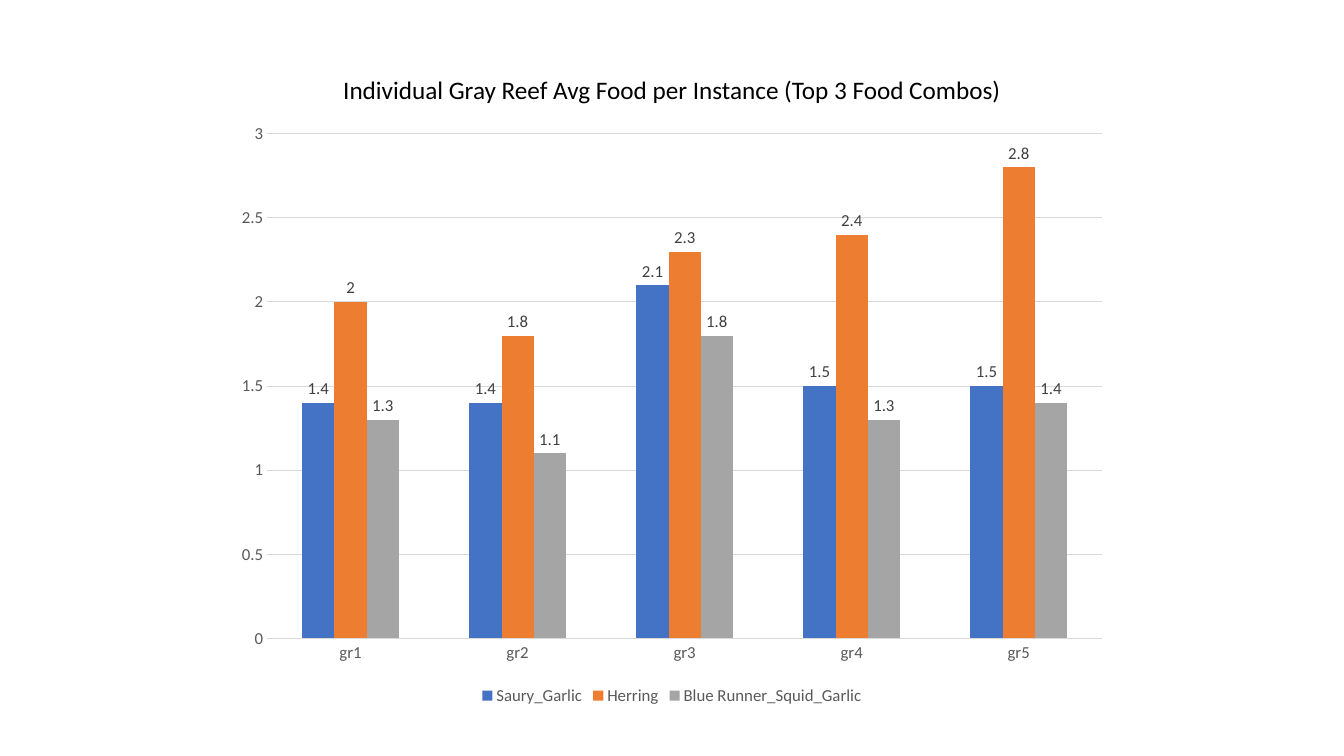
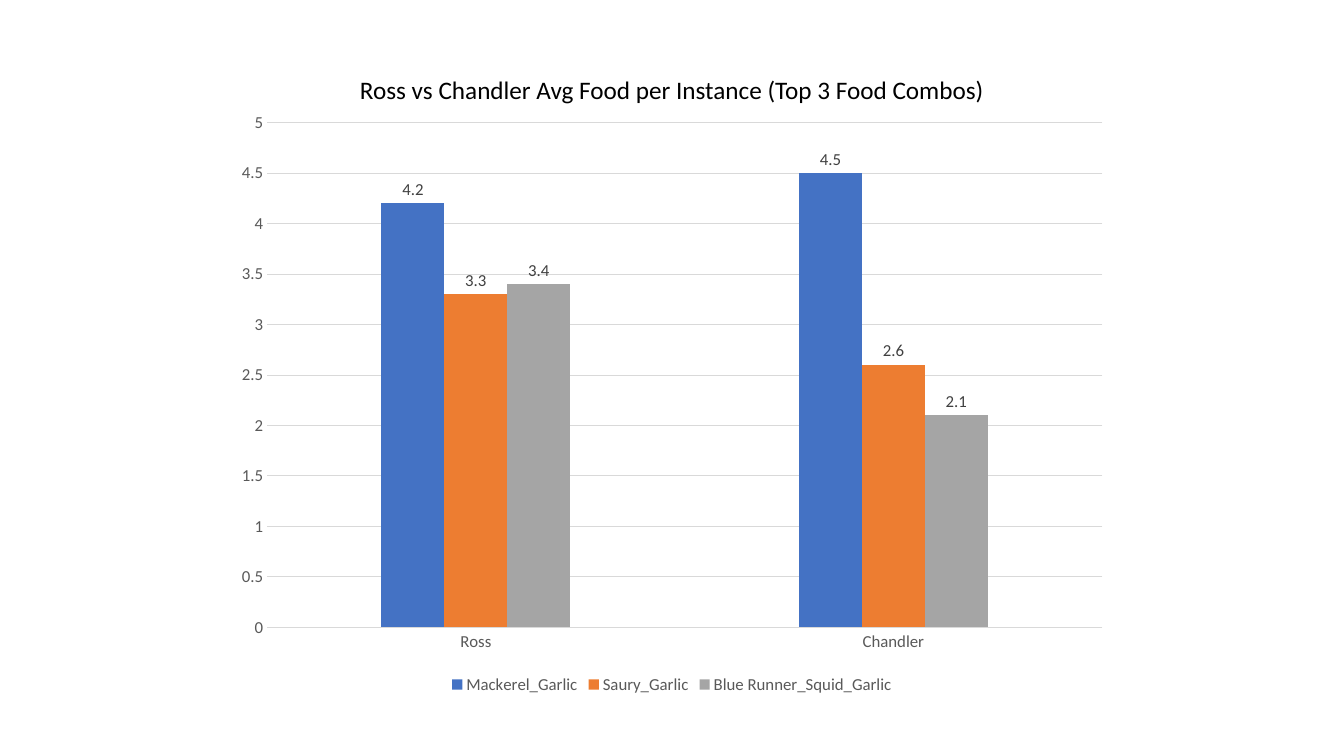
from dataclasses import dataclass

from pptx import Presentation
from pptx.chart.data import CategoryChartData
from pptx.dml.color import RGBColor
from pptx.enum.chart import XL_CHART_TYPE, XL_LABEL_POSITION, XL_LEGEND_POSITION, XL_TICK_MARK
from pptx.enum.text import MSO_ANCHOR, MSO_AUTO_SIZE, PP_ALIGN
from pptx.util import Inches, Pt


@dataclass(frozen=True)
class Theme:
    """Colours, font and type sizes of the deck."""
    font: str = "Calibri"
    ink: str = "000000"
    axis: str = "595959"
    label: str = "404040"
    rule: str = "D9D9D9"
    bars: tuple = ("4472C4", "ED7D31", "A5A5A5")
    title: int = 18
    small: int = 12
    base: int = 10
    thin: float = 0.75


THEME = Theme()
TITLE_BOX = (3.18, 0.69, 6.97, 0.4)

PAGES = [
    {
        "title": "Individual Gray Reef Avg Food per Instance (Top 3 Food Combos)",
        "box": (2.22, 1.11, 8.89, 5.93),
        "cats": ("gr1", "gr2", "gr3", "gr4", "gr5"),
        "rows": {
            "Saury_Garlic": (1.4, 1.4, 2.1, 1.5, 1.5),
            "Herring": (2, 1.8, 2.3, 2.4, 2.8),
            "Blue Runner_Squid_Garlic": (1.3, 1.1, 1.8, 1.3, 1.4),
        },
        "gap": 219,
        "top": 3,
    },
    {
        "title": "Ross vs Chandler Avg Food per Instance (Top 3 Food Combos)",
        "box": (2.22, 1, 8.89, 5.93),
        "cats": ("Ross", "Chandler"),
        "rows": {
            "Mackerel_Garlic": (4.2, 4.5),
            "Saury_Garlic": (3.3, 2.6),
            "Blue Runner_Squid_Garlic": (3.4, 2.1),
        },
        "gap": 364,
        "top": 5,
    },
]


def apply(target, **values):
    """Set each named format value on the target."""
    for name, value in values.items():
        setattr(target, name, value)


def style(font, size, color):
    """Give a font the theme face, a size and a colour."""
    apply(font, name=THEME.font, size=Pt(size), bold=False)
    font.color.rgb = RGBColor.from_string(color)


def stroke(line):
    """Draw a line as a thin pale rule."""
    line.width = Pt(THEME.thin)
    line.color.rgb = RGBColor.from_string(THEME.rule)


def add_title(slide, box, text):
    """Place a centred title in the box."""
    frame = slide.shapes.add_textbox(*map(Inches, box)).text_frame
    apply(frame, word_wrap=True, auto_size=MSO_AUTO_SIZE.SHAPE_TO_FIT_TEXT,
          vertical_anchor=MSO_ANCHOR.TOP)
    line = frame.paragraphs[0]
    line.alignment = PP_ALIGN.CENTER
    run = line.add_run()
    run.text = text
    style(run.font, THEME.title, THEME.ink)


def set_axes(chart, top):
    """Format both axes and the grid."""
    for axis in (chart.category_axis, chart.value_axis):
        apply(axis, major_tick_mark=XL_TICK_MARK.NONE, minor_tick_mark=XL_TICK_MARK.NONE)
        style(axis.tick_labels.font, THEME.small, THEME.axis)
    stroke(chart.category_axis.format.line)
    value = chart.value_axis
    apply(value, minimum_scale=0, maximum_scale=top, major_unit=0.5,
          has_major_gridlines=True)
    value.format.line.fill.background()
    stroke(value.major_gridlines.format.line)


def set_bars(plot, gap):
    """Colour the bars and label their values."""
    apply(plot, gap_width=gap, overlap=0, vary_by_categories=False)
    for series, color in zip(plot.series, THEME.bars):
        series.invert_if_negative = False
        series.format.fill.solid()
        series.format.fill.fore_color.rgb = RGBColor.from_string(color)
        labels = series.data_labels
        apply(labels, show_value=True, position=XL_LABEL_POSITION.OUTSIDE_END)
        style(labels.font, THEME.small, THEME.label)


def add_bars(slide, box, page):
    """Place a clustered column chart in the box."""
    data = CategoryChartData()
    data.categories = page["cats"]
    for name, values in page["rows"].items():
        data.add_series(name, values)
    chart = slide.shapes.add_chart(
        XL_CHART_TYPE.COLUMN_CLUSTERED, *map(Inches, box), data).chart
    apply(chart, has_title=False, has_legend=True)
    style(chart.font, THEME.base, THEME.ink)
    apply(chart.legend, position=XL_LEGEND_POSITION.BOTTOM, include_in_layout=False)
    style(chart.legend.font, THEME.small, THEME.axis)
    set_axes(chart, page["top"])
    set_bars(chart.plots[0], page["gap"])


def main():
    """Build and save the deck."""
    deck = Presentation()
    apply(deck, slide_width=Inches(13.33), slide_height=Inches(7.5))
    for page in PAGES:
        slide = deck.slides.add_slide(deck.slide_layouts[6])
        add_bars(slide, page["box"], page)
        add_title(slide, TITLE_BOX, page["title"])
    deck.save("out.pptx")


if __name__ == "__main__":
    main()
